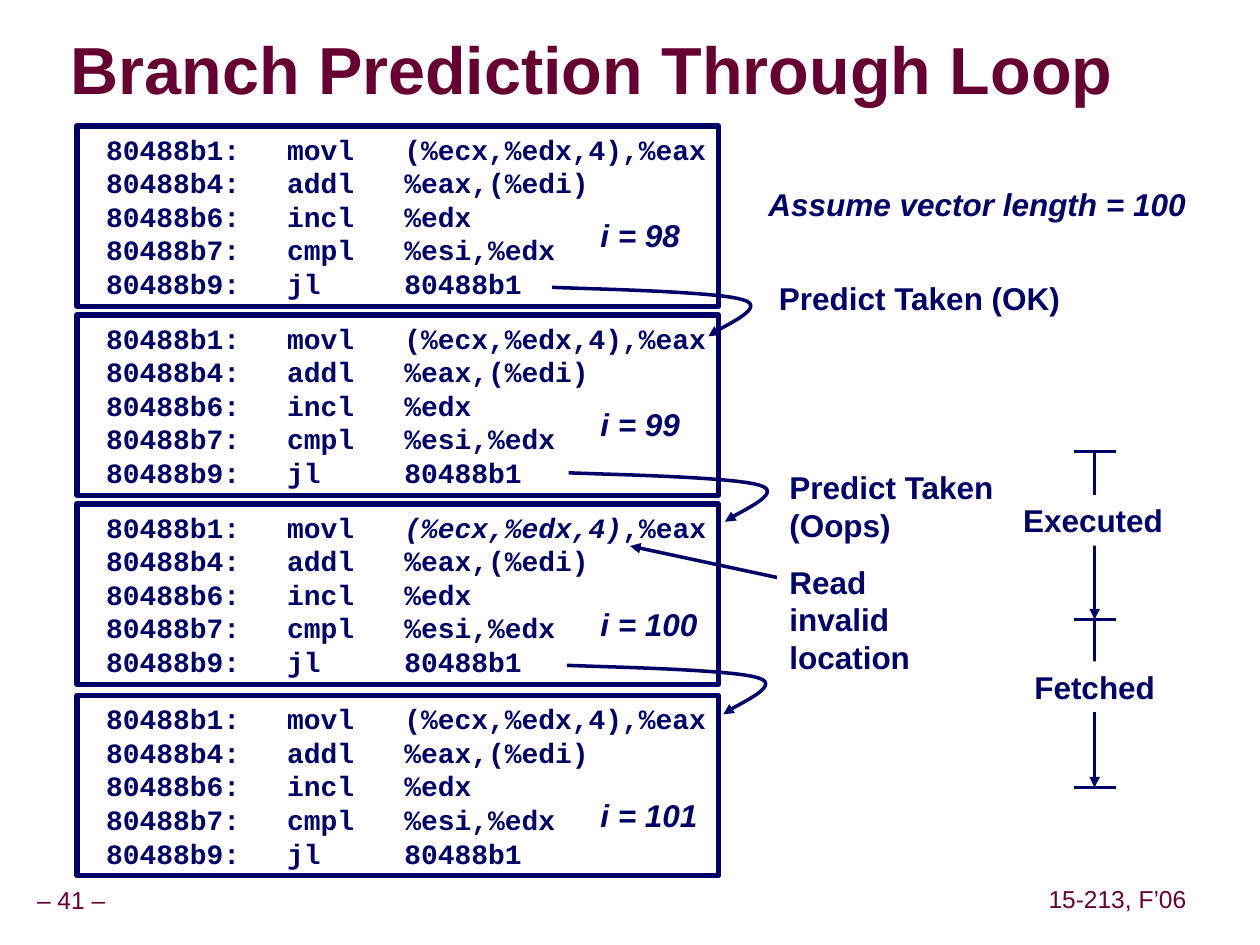
from lxml import etree
from pptx import Presentation
from pptx.dml.color import RGBColor
from pptx.enum.shapes import MSO_CONNECTOR, MSO_SHAPE
from pptx.enum.text import MSO_ANCHOR, PP_ALIGN
from pptx.oxml.ns import qn
from pptx.util import Pt

RECT = MSO_SHAPE.RECTANGLE
STRAIGHT = MSO_CONNECTOR.STRAIGHT
TOP, MIDDLE = MSO_ANCHOR.TOP, MSO_ANCHOR.MIDDLE
LEFT, CENTER = PP_ALIGN.LEFT, PP_ALIGN.CENTER

COLORS = {"navy": "000066", "wine": "660033", "white": "FFFFFF", "gray": "999999"}
SANS, MONO = "Arial", "Courier New"


def rgb(name):
    return RGBColor.from_string(COLORS[name])


def bezier(a, b, c, d, steps=16):
    """Points along a cubic curve, without its start."""
    for n in range(1, steps + 1):
        t = n / steps
        u = 1 - t
        yield tuple(u**3 * p + 3 * u * u * t * q + 3 * u * t * t * r + t**3 * s
                    for p, q, r, s in zip(a, b, c, d))


class Page:
    def __init__(self, slide):
        self.slide = slide

    def text(self, shape, lines, size=18, font=SANS, color="navy", bold=True,
             align=LEFT, anchor=TOP, inset=(7.2, 3.6, 0, 3.6), space=None, tab=None):
        """Each line is a list of (text, italic) runs."""
        frame = shape.text_frame
        frame.word_wrap = True
        frame.vertical_anchor = anchor
        (frame.margin_left, frame.margin_top,
         frame.margin_right, frame.margin_bottom) = map(Pt, inset)
        for n, line in enumerate(lines):
            para = frame.add_paragraph() if n else frame.paragraphs[0]
            para.alignment = align
            if space:
                para.line_spacing = space
            if tab:
                tabs = etree.SubElement(para._p.get_or_add_pPr(), qn("a:tabLst"))
                etree.SubElement(tabs, qn("a:tab"), pos=str(Pt(tab)), algn="l")
            for words, italic in line:
                run = para.add_run()
                run.text = words
                run.font.name, run.font.size = font, Pt(size)
                run.font.bold, run.font.italic = bold, italic
                run.font.color.rgb = rgb(color)

    def label(self, x, y, w, h, *lines, italic=False, **style):
        box = self.slide.shapes.add_textbox(Pt(x), Pt(y), Pt(w), Pt(h))
        self.text(box, [[(line, italic)] for line in lines], **style)
        return box

    def rect(self, x, y, w, h, lines, fill=None, line=None, **style):
        box = self.slide.shapes.add_shape(RECT, Pt(x), Pt(y), Pt(w), Pt(h))
        box.shadow.inherit = False
        if fill:
            box.fill.solid()
            box.fill.fore_color.rgb = rgb(fill)
        else:
            box.fill.background()
        if line:
            self.stroke(box, line)
        else:
            box.line.fill.background()
        self.text(box, lines, **style)

    def stroke(self, shape, width=2, arrow=False):
        shape.line.color.rgb = rgb("navy")
        shape.line.width = Pt(width)
        if arrow:
            etree.SubElement(shape.line._get_or_add_ln(), qn("a:tailEnd"), type="triangle")

    def line(self, x1, y1, x2, y2, arrow=False):
        line = self.slide.shapes.add_connector(STRAIGHT, Pt(x1), Pt(y1), Pt(x2), Pt(y2))
        self.stroke(line, 2, arrow)
        etree.SubElement(line._element.spPr, qn("a:effectLst"))

    def hook(self, x, y):
        """Curved arrow that leads from one box to the next."""
        knots = [(0, 0), (18.4, 0.9), (94.4, 2.2), (109.4, 7.2),
                 (124.6, 11.8), (93.6, 23.8), (89.3, 28)]
        dots = [*bezier(*knots[:4]), *bezier(*knots[3:])]
        form = self.slide.shapes.build_freeform(Pt(x), Pt(y))
        form.add_line_segments([(Pt(x + dx), Pt(y + dy)) for dx, dy in dots], close=False)
        curve = form.convert_to_shape()
        curve.shadow.inherit = False
        curve.fill.background()
        self.stroke(curve, 2, arrow=True)

    def title(self, words):
        box = self.label(40.3, 19.4, 640, 45.4, words, size=38, color="wine",
                         anchor=MIDDLE, inset=(0, 0, 0, 0), space=0.87)
        props = box.text_frame.paragraphs[0].runs[0]._r.get_or_add_rPr()
        shade = etree.Element(qn("a:effectLst"))
        cast = etree.SubElement(shade, qn("a:outerShdw"), dist=str(Pt(3)), dir="2700000")
        etree.SubElement(cast, qn("a:srgbClr"), val=COLORS["gray"])
        props.find(qn("a:solidFill")).addnext(shade)


def main():
    deck = Presentation()
    deck.slide_width, deck.slide_height = Pt(720), Pt(540)
    page = Page(deck.slides.add_slide(deck.slide_layouts[6]))

    # Footer and title
    foot = dict(size=14, color="wine", bold=False, align=CENTER, anchor=MIDDLE,
                inset=(3.6, 3.6, 3.6, 3.6), space=0.9)
    page.label(-6.5, 504, 94.3, 22.3, "– 41 –", **foot)
    page.label(595.4, 503.3, 86.4, 22.3, "15-213, F’06", **foot)
    page.title("Branch Prediction Through Loop")

    # Loop passes
    rest = [[(code, False)] for code in (
        " 80488b4:\taddl   %eax,(%edi)",
        " 80488b6:\tincl   %edx",
        " 80488b7:\tcmpl   %esi,%edx",
        " 80488b9:\tjl     80488b1",
    )]
    passes = [(98, 72, 48), (99, 180, 48), (100, 288, 54), (101, 397.5, 54)]
    for count, top, drop in passes:
        first = [(" 80488b1:\tmovl   ", False), ("(%ecx,%edx,4)", count == 100),
                 (",%eax", False)]
        page.rect(44, top, 366.5, 103, [first, *rest], line=3,
                  size=16, font=MONO, tab=113)
        page.label(336, top + drop, 70, 28.8, f"i = {count}", italic=True)

    # Jumps between passes
    for x, y in [(315.5, 164.2), (325, 270.2), (324, 380.2)]:
        page.hook(x, y)

    # Remarks
    page.label(432, 102, 252.7, 28.8, "Assume vector length = 100", italic=True)
    page.label(438, 156, 176.4, 28.8, "Predict Taken (OK)")
    page.label(444, 264, 132.5, 50.4, "Predict Taken", "(Oops)")
    page.label(444, 318, 102, 72, "Read invalid location")
    page.line(444, 330, 360, 312, arrow=True)

    # Executed and fetched spans
    axis, marks = 625.5, [258, 354, 450]
    for start, end in zip(marks, marks[1:]):
        page.line(axis, start, axis, end, arrow=True)
    for x, y, w, name in [(577.5, 283, 94.3, "Executed"), (584, 378, 83.5, "Fetched")]:
        page.rect(x, y, w, 28.8, [[(name, False)]], fill="white")
    for y in marks:
        page.line(axis - 12, y, axis + 12, y)

    deck.save("out.pptx")


if __name__ == "__main__":
    main()
